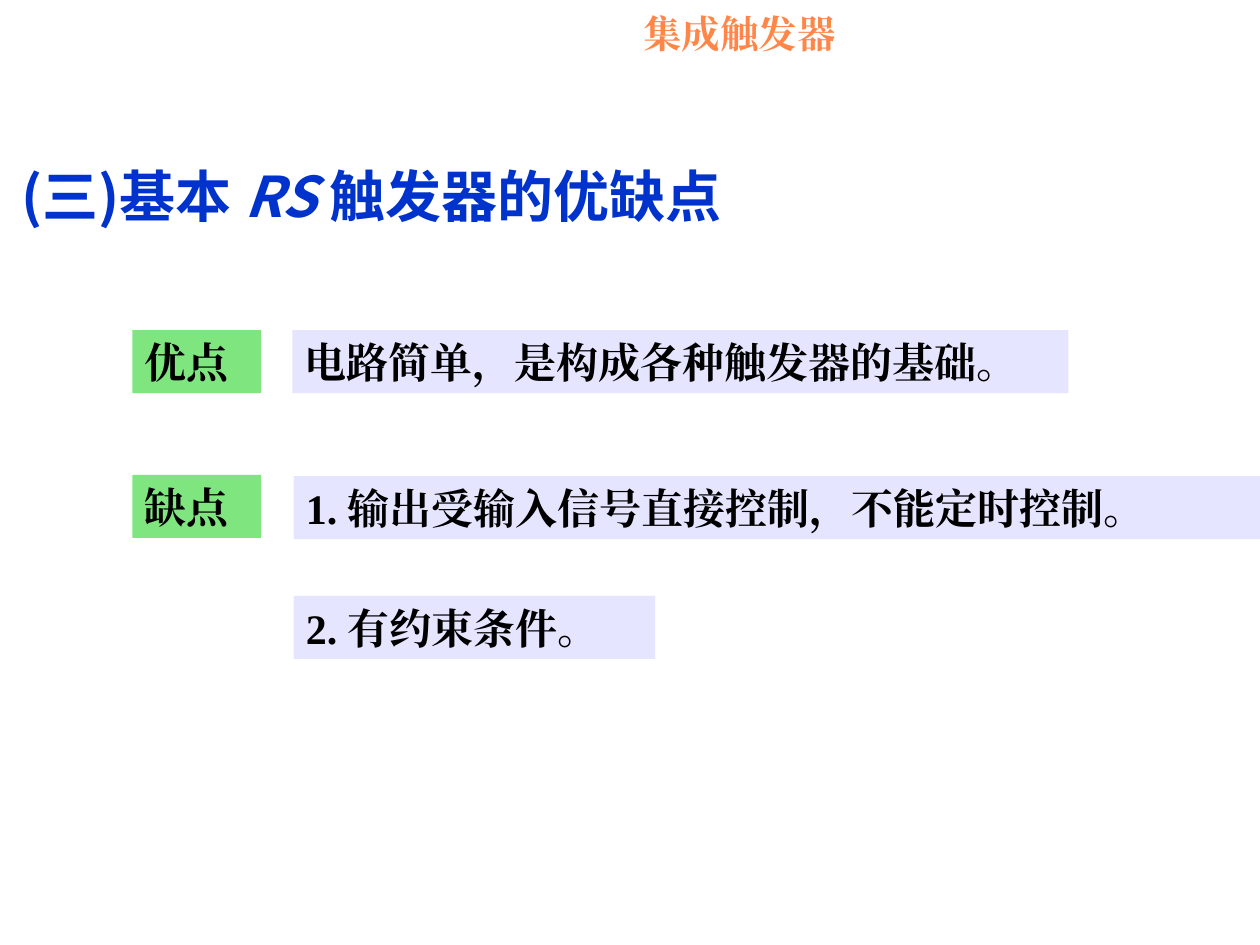
"""Build a slide on the strengths and weaknesses of the basic RS flip-flop."""
from dataclasses import dataclass

from lxml import etree
from pptx import Presentation
from pptx.dml.color import RGBColor
from pptx.enum.shapes import MSO_SHAPE
from pptx.enum.text import MSO_ANCHOR, PP_ALIGN
from pptx.oxml.ns import qn
from pptx.util import Inches, Pt

RECT = MSO_SHAPE.RECTANGLE
MIDDLE = MSO_ANCHOR.MIDDLE
LEFT = PP_ALIGN.LEFT


@dataclass(frozen=True)
class Theme:
    """Colours, fonts and type sizes."""
    orange: str = "FF8649"
    blue: str = "0033CC"
    black: str = "000000"
    green: str = "00CC00"
    lilac: str = "CCCCFF"
    sans: str = "Noto Sans CJK SC"
    serif: str = "Times New Roman"
    head: int = 22
    title: int = 32
    body: int = 24


class Deck:
    """Holds the theme and the current slide."""

    def __init__(self, theme, slide):
        """Keep the theme and slide."""
        self.theme = theme
        self.slide = slide

    def label(self, shape, runs, size, color, face):
        """Put bold (text, italic) runs into a shape."""
        frame = shape.text_frame
        frame.word_wrap = True
        frame.vertical_anchor = MIDDLE
        para = frame.paragraphs[0]
        para.alignment = LEFT
        for text, slant in runs:
            run = para.add_run()
            run.text = text
            font = run.font
            font.size = Pt(size)
            font.name = face
            font.bold = True
            font.italic = slant
            font.color.rgb = RGBColor.from_string(color)
            etree.SubElement(run._r.rPr, qn("a:ea"), typeface=face)

    def text(self, box, runs, size, color, face):
        """Add a plain line of text."""
        shape = self.slide.shapes.add_textbox(*map(Inches, box))
        self.label(shape, runs, size, color, face)

    def panel(self, box, text, color):
        """Add a half-transparent panel with text."""
        shape = self.slide.shapes.add_shape(RECT, *map(Inches, box))
        shape.shadow.inherit = False
        shape.line.fill.background()
        shape.fill.solid()
        shape.fill.fore_color.rgb = RGBColor.from_string(color)
        tint = shape.fill._xPr.find(qn("a:solidFill"))[0]
        etree.SubElement(tint, qn("a:alpha"), val="50000")
        look = self.theme
        self.label(shape, [(text, False)], look.body, look.black, look.serif)


def main():
    """Build and save the slide."""
    show = Presentation()
    show.slide_width, show.slide_height = Inches(10), Inches(7.5)
    look = Theme()
    deck = Deck(look, show.slides.add_slide(show.slide_layouts[6]))

    deck.text((5.01, 0.02, 3.24, 0.48), [("集成触发器", False)],
              look.head, look.orange, look.serif)
    title = [("(三)基本 ", False), ("RS ", True), ("触发器的优缺点", False)]
    deck.text((0.07, 1.23, 7.76, 0.64), title,
              look.title, look.blue, look.sans)

    for top, name in ((2.62, "优点"), (3.77, "缺点")):
        deck.panel((1.05, top, 1.02, 0.5), name, look.green)
    points = (
        (2.32, 2.62, 6.16, "电路简单，是构成各种触发器的基础。"),
        (2.33, 3.78, 7.67, "1. 输出受输入信号直接控制，不能定时控制。"),
        (2.33, 4.73, 2.87, "2. 有约束条件。"),
    )
    for left, top, width, text in points:
        deck.panel((left, top, width, 0.5), text, look.lilac)

    show.save("out.pptx")


if __name__ == "__main__":
    main()
